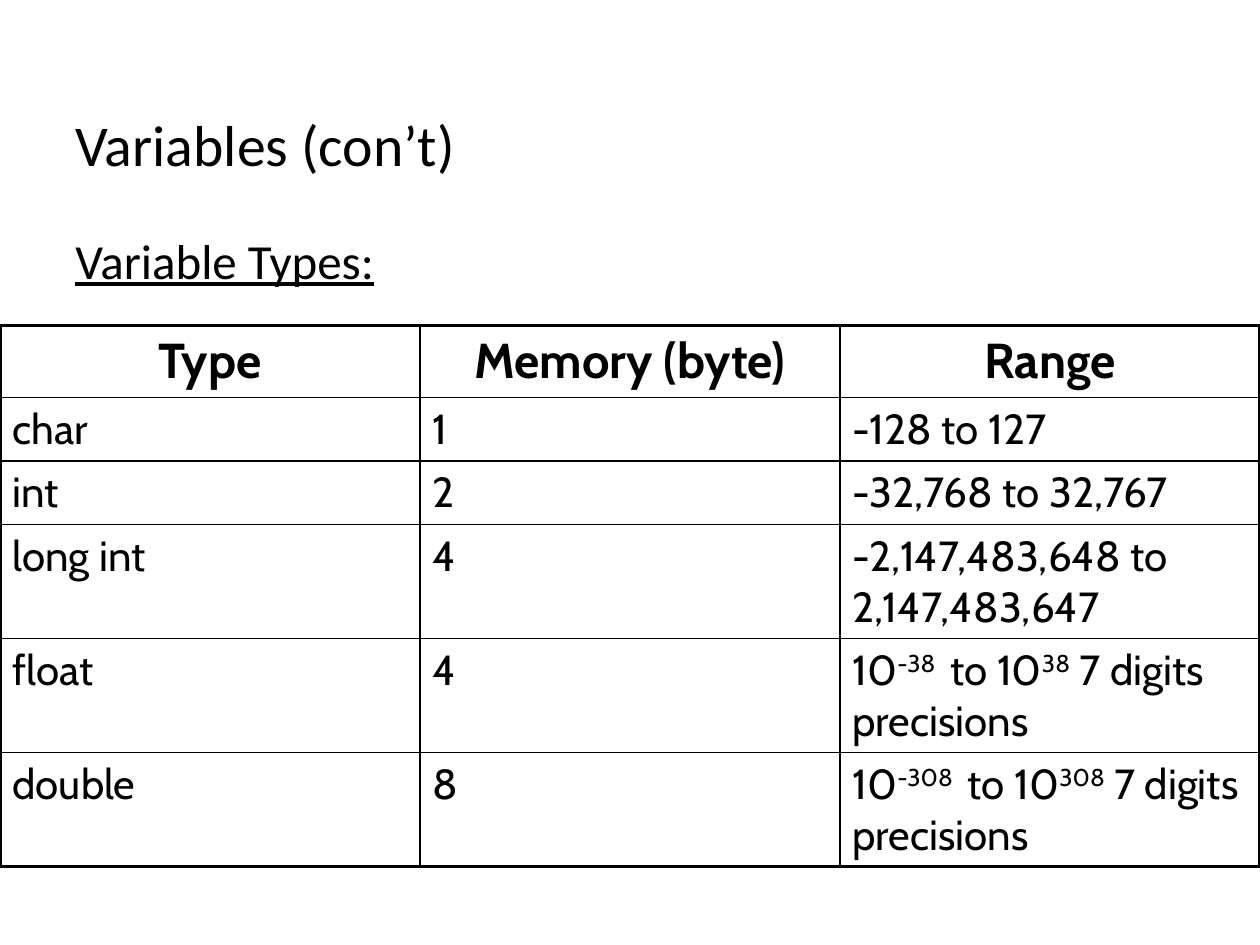
import pptx
import pptx.dml.color
import pptx.enum.text
import pptx.oxml
import pptx.oxml.ns
import pptx.util
from dataclasses import dataclass

Cm = pptx.util.Cm
Pt = pptx.util.Pt
ALIGN = pptx.enum.text.PP_ALIGN
ANCHOR = pptx.enum.text.MSO_ANCHOR


@dataclass(frozen=True)
class Theme:
    ink: str = "000000"
    paper: str = "FFFFFF"
    heading_font: str = "Calibri"
    table_font: str = "Cabin"
    title_size: float = 33
    subtitle_size: float = 28
    header_size: float = 28
    cell_size: float = 24
    outer_line: float = 2.25
    inner_line: float = 1


class Deck:
    def __init__(self, theme):
        self.theme = theme
        self.prs = pptx.Presentation()
        self.prs.slide_width = Cm(25.4)
        self.prs.slide_height = Cm(19.05)
        self.slide = None

    def add_slide(self):
        self.slide = self.prs.slides.add_slide(self.prs.slide_layouts[6])
        fill = self.slide.background.fill
        fill.solid()
        fill.fore_color.rgb = self.color(self.theme.paper)

    def color(self, value):
        return pptx.dml.color.RGBColor.from_string(value)

    def add_run(self, p, text, font, size, bold=False, underline=False, raised=False):
        r = p.add_run()
        r.text = text
        r.font.name = font
        r.font.size = Pt(size)
        r.font.bold = bold
        r.font.underline = underline
        r.font.color.rgb = self.color(self.theme.ink)
        if raised:
            r._r.get_or_add_rPr().set("baseline", "30000")

    def add_text(self, text, left, top, width, height, size, anchor, underline=False):
        sp = self.slide.shapes.add_textbox(Cm(left), Cm(top), Cm(width), Cm(height))
        tf = sp.text_frame
        tf.word_wrap = True
        tf.vertical_anchor = anchor
        p = tf.paragraphs[0]
        p.line_spacing = 0.9
        self.add_run(p, text, self.theme.heading_font, size, underline=underline)

    def add_borders(self, cell, outer):
        tcPr = cell._tc.get_or_add_tcPr()
        ns = pptx.oxml.ns.nsdecls("a")
        for i, side in enumerate("LRTB"):
            points = self.theme.outer_line if side in outer else self.theme.inner_line
            tcPr.insert(i, pptx.oxml.parse_xml(
                f'<a:ln{side} {ns} w="{Pt(points)}"><a:solidFill>'
                f'<a:srgbClr val="{self.theme.ink}"/></a:solidFill></a:ln{side}>'))

    def add_cell(self, cell, runs, header, outer):
        cell.fill.background()
        cell.vertical_anchor = ANCHOR.MIDDLE if header else ANCHOR.TOP
        p = cell.text_frame.paragraphs[0]
        p.alignment = ALIGN.CENTER if header else ALIGN.LEFT
        size = self.theme.header_size if header else self.theme.cell_size
        for i, text in enumerate(runs):
            self.add_run(p, text, self.theme.table_font, size, bold=header, raised=i % 2 == 1)
        self.add_borders(cell, outer)

    def add_table(self, rows, left, top, width, heights):
        n_rows, n_cols = len(rows), len(rows[0])
        table = self.slide.shapes.add_table(
            n_rows, n_cols, Cm(left), Cm(top), Cm(width), Cm(sum(heights))).table
        for row, height in zip(table.rows, heights):
            row.height = Cm(height)
        for i, row in enumerate(rows):
            for j, value in enumerate(row):
                edges = {"L": j == 0, "R": j == n_cols - 1, "T": i == 0, "B": i == n_rows - 1}
                outer = [side for side, on_edge in edges.items() if on_edge]
                runs = [value] if isinstance(value, str) else value
                self.add_cell(table.cell(i, j), runs, i == 0, outer)


def power_range(exponent):
    return ["10", f"-{exponent} ", " to 10", exponent, " 7 digits precisions"]


def main():
    theme = Theme()
    deck = Deck(theme)
    deck.add_slide()
    deck.add_text("Variables (con’t)", 1.27, 1.07, 22.86, 3.81,
                  theme.title_size, ANCHOR.MIDDLE)
    deck.add_text("Variable Types:", 1.27, 4.65, 11.23, 1.9,
                  theme.subtitle_size, ANCHOR.TOP, underline=True)
    variable_types = [
        ("Type", "Memory (byte)", "Range"),
        ("char", "1", "-128 to 127"),
        ("int", "2", "-32,768 to 32,767"),
        ("long int", "4", "-2,147,483,648 to 2,147,483,647"),
        ("float", "4", power_range("38")),
        ("double", "8", power_range("308")),
    ]
    deck.add_table(variable_types, 0, 6.56, 25.4, [1.45] + [1.28] * 2 + [2.3] * 3)
    deck.prs.save("out.pptx")


if __name__ == "__main__":
    main()
